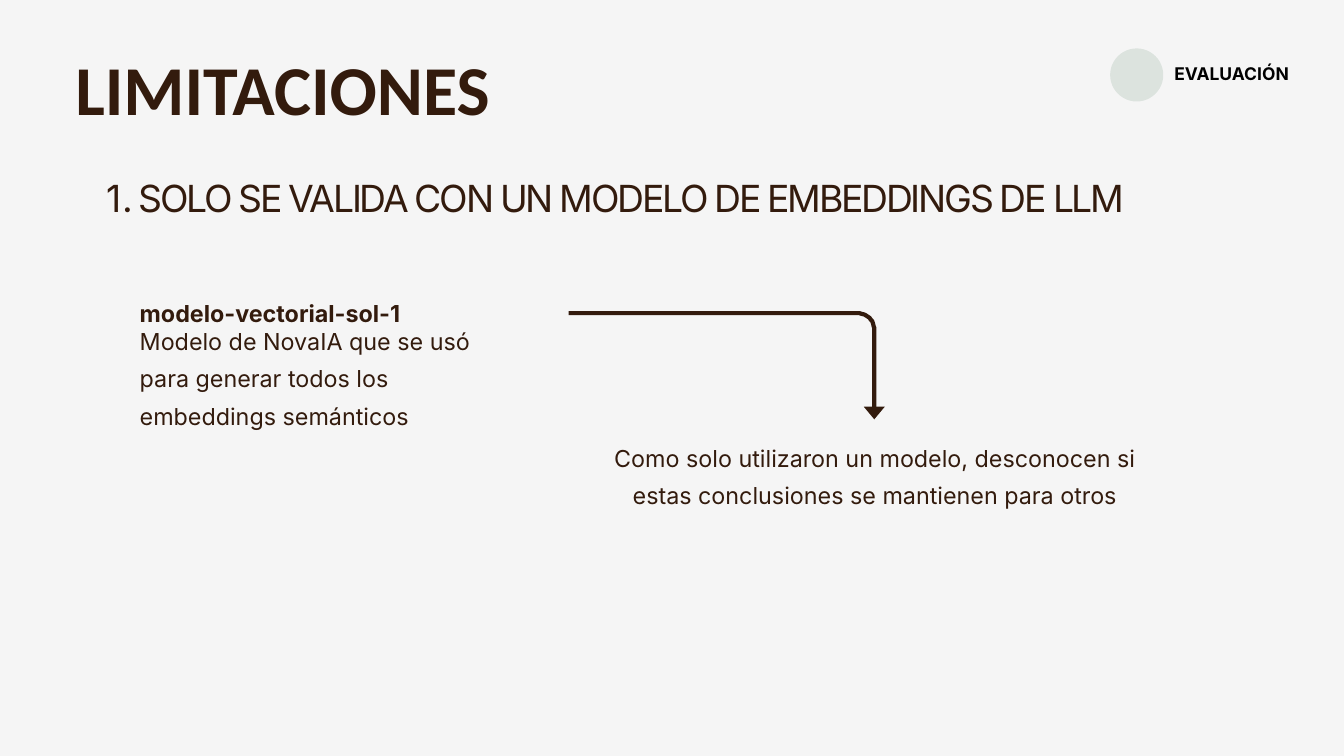
import math
from dataclasses import dataclass

import lxml.etree
import pptx
import pptx.dml.color
import pptx.enum.shapes
import pptx.enum.text
import pptx.oxml.ns
import pptx.util

PX = 9144
LEFT = pptx.enum.text.PP_ALIGN.LEFT
MID = pptx.enum.text.PP_ALIGN.CENTER
RIGHT = pptx.enum.text.PP_ALIGN.RIGHT


@dataclass(frozen=True)
class Theme:
    """Colours, fonts and type sizes of the deck."""
    paper: str = "F5F5F5"
    ink: str = "331B0D"
    black: str = "000000"
    green: str = "004717"
    head: str = "Calibri"
    text: str = "Inter"
    title: float = 75
    point: float = 40
    body: float = 25
    tag: float = 18.7
    line: float = 4.5


THEME = Theme()


def color(code):
    """Turn a hex code into a colour."""
    return pptx.dml.color.RGBColor.from_string(code)


def scale(*sizes):
    """Turn px into EMU."""
    return [size * PX for size in sizes]


def add(parent, tag, **attrs):
    """Append an XML child to an element."""
    return lxml.etree.SubElement(parent, pptx.oxml.ns.qn(tag), attrs)


def write(slide, box, words, size, lead, bold=False, align=LEFT,
          face=THEME.text, tint=THEME.ink):
    """Place one paragraph of text and return it."""
    frame = slide.shapes.add_textbox(*scale(*box)).text_frame
    frame.word_wrap = True
    frame.auto_size = pptx.enum.text.MSO_AUTO_SIZE.SHAPE_TO_FIT_TEXT
    frame.margin_left = frame.margin_right = 0
    frame.margin_top = frame.margin_bottom = 0
    para = frame.paragraphs[0]
    para.add_run().text = words
    para.alignment = align
    para.line_spacing = pptx.util.Pt(lead)
    para.font.name = face
    para.font.size = pptx.util.Pt(size)
    para.font.bold = bold
    para.font.color.rgb = color(tint)
    return para


def tag(slide, box, words):
    """Draw the section tag: a pale disc and a label."""
    x, y, w, h = box
    disc = slide.shapes.add_shape(
        pptx.enum.shapes.MSO_SHAPE.OVAL, *scale(x, y, h, h))
    disc.shadow.inherit = False
    disc.line.fill.background()
    disc.fill.solid()
    disc.fill.fore_color.rgb = color(THEME.green)
    shade = disc.fill._xPr.find(".//" + pptx.oxml.ns.qn("a:srgbClr"))
    add(shade, "a:alpha", val="10000")
    write(slide, (x + 40, y + 27, w - 40, 28), words, THEME.tag, THEME.tag,
          bold=True, align=RIGHT, tint=THEME.black)


def header(slide, box, title, point):
    """Write the title and the numbered point below it."""
    x, y, w, h = box
    write(slide, (x, y, 888, 107), title, THEME.title, 73.5,
          bold=True, face=THEME.head)
    para = write(slide, (x, y + h - 59, w, 59), point, THEME.point, 40)
    para.level = 1
    props = para._p.get_or_add_pPr()
    props.set("marL", str(94 * PX))
    props.set("indent", str(-47 * PX))
    mark = add(props, "a:buAutoNum", type="arabicPeriod")
    props.find(pptx.oxml.ns.qn("a:lnSpc")).addnext(mark)
    para.runs[0]._r.get_or_add_rPr().set("spc", "-240")


def model(slide, box, name, note):
    """Write the model name and its note."""
    x, y, w, h = box
    write(slide, (x, y, w, 52), name, THEME.body, 40, bold=True)
    write(slide, (x, y + 41, w, h - 41), note, THEME.body, 40)


def arrow(slide, box, bend=25, steps=12):
    """Draw an arrow that runs right, then turns down a round bend."""
    x, y, w, h = box
    turns = [math.pi / 2 * step / steps for step in range(steps + 1)]
    curve = [(w - bend + bend * math.sin(turn), bend - bend * math.cos(turn))
             for turn in turns]
    pen = slide.shapes.build_freeform(0, 0, PX)
    pen.add_line_segments(curve + [(w, h)], close=False)
    shape = pen.convert_to_shape(*scale(x, y))
    shape.shadow.inherit = False
    shape.fill.background()
    shape.line.color.rgb = color(THEME.ink)
    shape.line.width = pptx.util.Pt(THEME.line)
    add(shape.line._get_or_add_ln(), "a:tailEnd", type="triangle", w="lg")


def main():
    """Build the slide and save it."""
    deck = pptx.Presentation()
    deck.slide_width, deck.slide_height = scale(2000, 1125)
    slide = deck.slides.add_slide(deck.slide_layouts[6])
    slide.background.fill.solid()
    slide.background.fill.fore_color.rgb = color(THEME.paper)
    tag(slide, (1652, 72, 266, 79), "EVALUACIÓN")
    header(slide, (112, 90, 1598, 241), "LIMITACIONES",
           "SOLO SE VALIDA CON UN MODELO DE EMBEDDINGS DE LLM")
    model(slide, (208, 432, 536, 203), "modelo-vectorial-sol-1",
          "Modelo de NovaIA que se usó para generar todos los "
          "embeddings semánticos")
    arrow(slide, (846, 466, 455, 158))
    write(slide, (911, 647, 781, 107),
          "Como solo utilizaron un modelo, desconocen si estas "
          "conclusiones se mantienen para otros",
          THEME.body, 40, align=MID)
    deck.save("out.pptx")


if __name__ == "__main__":
    main()
